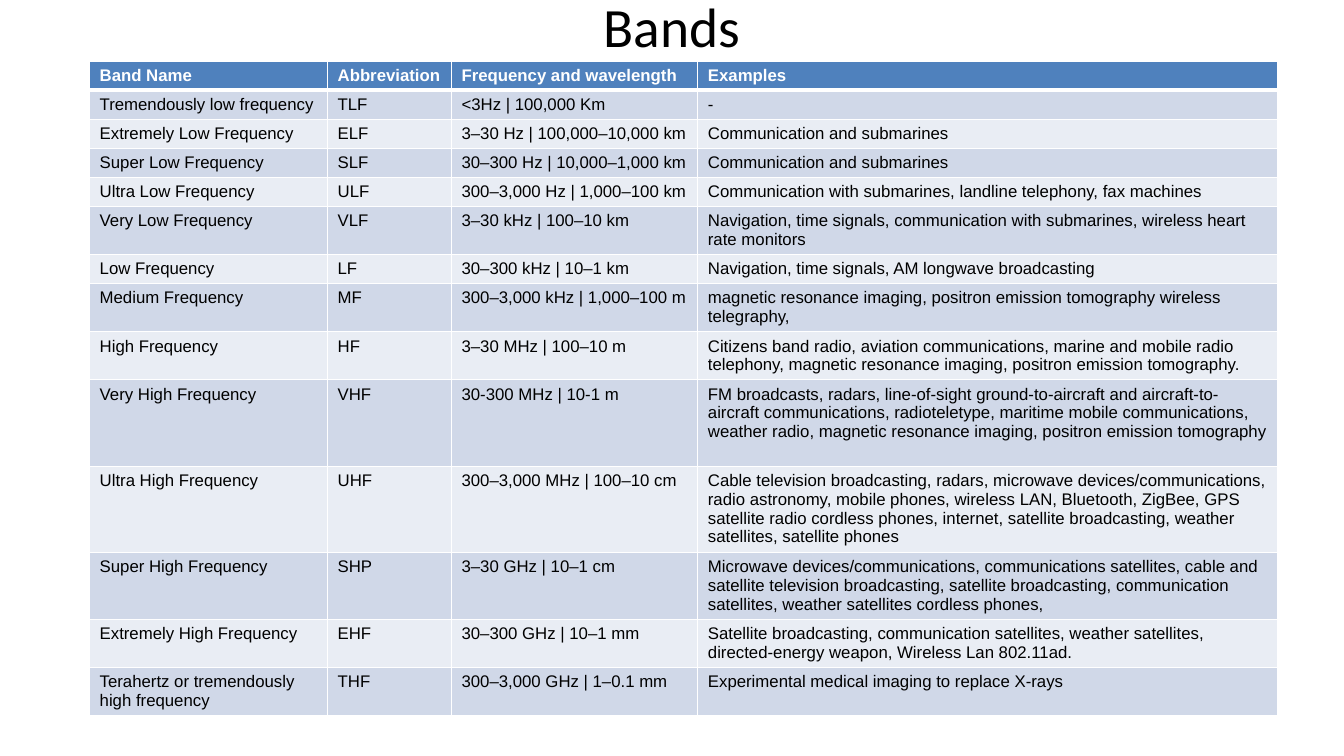
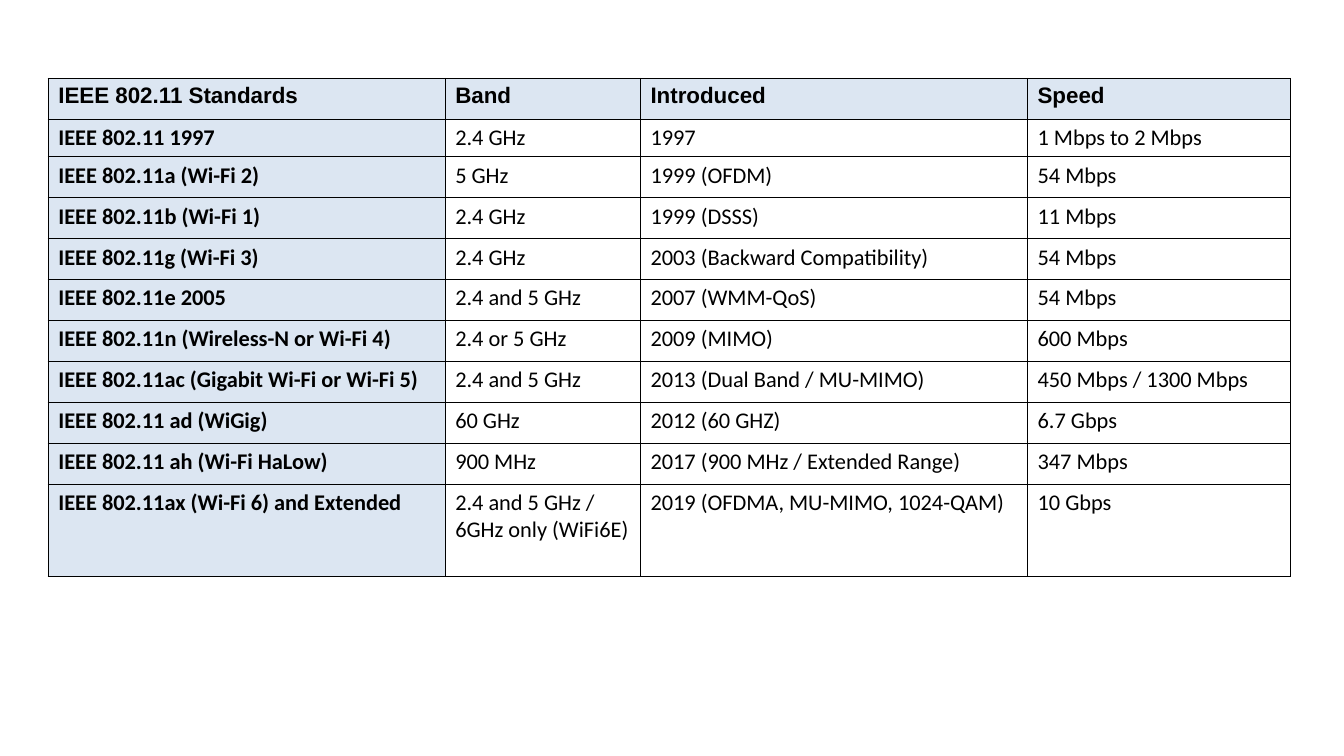
from lxml import etree
from pptx import Presentation
from pptx.dml.color import RGBColor
from pptx.enum.text import MSO_ANCHOR, MSO_AUTO_SIZE, PP_ALIGN
from pptx.oxml.ns import qn
from pptx.util import Pt

MIDDLE = MSO_ANCHOR.MIDDLE
FIXED = MSO_AUTO_SIZE.NONE
CENTER = PP_ALIGN.CENTER
TITLE_ONLY, BLANK = 5, 6

BLACK, WHITE = "000000", "FFFFFF"
BLUE, DARK, LIGHT, PALE = "4F81BD", "D0D8E8", "E9EDF4", "DCE6F2"
SANS, BODY = "Arial", "Calibri"

BAND_COLS = [170, 88.5, 176, 414]
BAND_LINES = [1, 1, 1, 1, 1, 2, 1, 2, 2, 4, 4, 3, 2, 2]
BANDS = [
    ("Band Name", "Abbreviation", "Frequency and wavelength", "Examples"),
    ("Tremendously low frequency", "TLF", "<3Hz | 100,000 Km", "-"),
    ("Extremely Low Frequency", "ELF", "3–30 Hz | 100,000–10,000 km",
     "Communication and submarines"),
    ("Super Low Frequency", "SLF", "30–300 Hz | 10,000–1,000 km",
     "Communication and submarines"),
    ("Ultra Low Frequency", "ULF", "300–3,000 Hz | 1,000–100 km",
     "Communication with submarines, landline telephony, fax machines"),
    ("Very Low Frequency", "VLF", "3–30 kHz | 100–10 km",
     "Navigation, time signals, communication with submarines, "
     "wireless heart rate monitors"),
    ("Low Frequency", "LF", "30–300 kHz | 10–1 km",
     "Navigation, time signals, AM longwave broadcasting"),
    ("Medium Frequency", "MF", "300–3,000 kHz | 1,000–100 m",
     "magnetic resonance imaging, positron emission tomography "
     "wireless telegraphy,"),
    ("High Frequency", "HF", "3–30 MHz | 100–10 m",
     "Citizens band radio, aviation communications, marine and mobile radio "
     "telephony, magnetic resonance imaging, positron emission tomography."),
    ("Very High Frequency", "VHF", "30-300 MHz | 10-1 m",
     "FM broadcasts, radars, line-of-sight ground-to-aircraft and "
     "aircraft-to-aircraft communications, radioteletype, maritime mobile "
     "communications, weather radio, magnetic resonance imaging, "
     "positron emission tomography"),
    ("Ultra High Frequency", "UHF", "300–3,000 MHz | 100–10 cm",
     "Cable television broadcasting, radars, microwave devices/communications, "
     "radio astronomy, mobile phones, wireless LAN, Bluetooth, ZigBee, GPS "
     "satellite radio cordless phones, internet, satellite broadcasting, "
     "weather satellites, satellite phones"),
    ("Super High Frequency", "SHP", "3–30 GHz | 10–1 cm",
     "Microwave devices/communications, communications satellites, cable and "
     "satellite television broadcasting, satellite broadcasting, "
     "communication satellites, weather satellites cordless phones,"),
    ("Extremely High Frequency", "EHF", "30–300 GHz | 10–1 mm",
     "Satellite broadcasting, communication satellites, weather satellites, "
     "directed-energy weapon, Wireless Lan 802.11ad."),
    ("Terahertz or tremendously high frequency", "THF",
     "300–3,000 GHz | 1–0.1 mm",
     "Experimental medical imaging to replace X-rays"),
]

NORM_COLS = [283.5, 139.5, 276.5, 188]
NORM_ROWS = [29.25, 26.75] + [29.25] * 8 + [66]
NORMS = [
    ("IEEE 802.11 Standards", "Band", "Introduced", "Speed"),
    ("IEEE 802.11 1997", "2.4 GHz", "1997", "1 Mbps to 2 Mbps"),
    ("IEEE 802.11a (Wi-Fi 2)", "5 GHz", "1999 (OFDM)", "54 Mbps"),
    ("IEEE 802.11b (Wi-Fi 1)", "2.4 GHz", "1999 (DSSS)", "11 Mbps"),
    ("IEEE 802.11g (Wi-Fi 3)", "2.4 GHz", "2003 (Backward Compatibility)",
     "54 Mbps"),
    ("IEEE 802.11e 2005", "2.4 and 5 GHz", "2007 (WMM-QoS)", "54 Mbps"),
    ("IEEE 802.11n (Wireless-N or Wi-Fi 4)", "2.4 or 5 GHz", "2009 (MIMO)",
     "600 Mbps"),
    ("IEEE 802.11ac (Gigabit Wi-Fi or Wi-Fi 5)", "2.4 and 5 GHz",
     "2013 (Dual Band / MU-MIMO)", "450 Mbps / 1300 Mbps"),
    ("IEEE 802.11 ad (WiGig)", "60 GHz", "2012 (60 GHZ)", "6.7 Gbps"),
    ("IEEE 802.11 ah (Wi-Fi HaLow)", "900 MHz",
     "2017 (900 MHz / Extended Range)", "347 Mbps"),
    ("IEEE 802.11ax (Wi-Fi 6) and Extended",
     "2.4 and 5 GHz / 6GHz only (WiFi6E)",
     "2019 (OFDMA, MU-MIMO, 1024-QAM)", "10 Gbps"),
]


def rgb(code):
    return RGBColor.from_string(code)


def add_run(para, text, font, size, color, bold=False):
    run = para.add_run()
    run.text = text
    run.font.name = font
    run.font.size = Pt(size)
    run.font.bold = bold
    run.font.color.rgb = rgb(color)


def add_title(slide, text):
    title = slide.shapes.title
    title.left, title.top = Pt(48), Pt(0.75)
    title.width, title.height = Pt(864), Pt(35.25)
    frame = title.text_frame
    frame.auto_size = FIXED
    frame.vertical_anchor = MIDDLE
    para = frame.paragraphs[0]
    para.alignment = CENTER
    add_run(para, text, BODY, 39.6, BLACK)


def set_edges(cell, color, widths):
    """Draw the cell's borders; must come before its fill."""
    props = cell._tc.get_or_add_tcPr()
    for side, width in widths.items():
        line = etree.SubElement(props, qn(f"a:ln{side}"), w=str(Pt(width)))
        fill = etree.SubElement(line, qn("a:solidFill"))
        etree.SubElement(fill, qn("a:srgbClr"), val=color)


def add_grid(slide, left, top, cols, heights, rows, style):
    """Add a table; style(cell, row, col) paints a cell and returns run settings."""
    frame = slide.shapes.add_table(
        len(rows), len(cols), Pt(left), Pt(top), Pt(sum(cols)), Pt(sum(heights)))
    table = frame.table
    table.first_row = table.horz_banding = False
    for col, width in zip(table.columns, cols):
        col.width = Pt(width)
    for r, (row, height) in enumerate(zip(rows, heights)):
        table.rows[r].height = Pt(height)
        for c, text in enumerate(row):
            cell = table.cell(r, c)
            add_run(cell.text_frame.paragraphs[0], text, *style(cell, r, c))


def band_style(cell, row, col):
    head = row == 0
    set_edges(cell, WHITE, {"L": 1, "R": 1, "T": 3 if row == 1 else 1,
                            "B": 3 if head else 1})
    cell.fill.solid()
    cell.fill.fore_color.rgb = rgb(BLUE if head else DARK if row % 2 else LIGHT)
    return SANS, 12, WHITE if head else BLACK, head


def norm_style(cell, row, col):
    head = row == 0
    label = head or col == 0
    set_edges(cell, BLACK, dict.fromkeys("LRTB", 1))
    if label:
        cell.fill.solid()
        cell.fill.fore_color.rgb = rgb(PALE)
    else:
        cell.fill.background()
    return SANS if head else BODY, 16, BLACK, label


def main():
    deck = Presentation()
    deck.slide_width, deck.slide_height = Pt(960), Pt(540)

    slide = deck.slides.add_slide(deck.slide_layouts[TITLE_ONLY])
    add_title(slide, "Bands")
    heights = [7.2 + 13.6 * lines for lines in BAND_LINES]
    add_grid(slide, 64, 43.5, BAND_COLS, heights, BANDS, band_style)

    slide = deck.slides.add_slide(deck.slide_layouts[BLANK])
    add_grid(slide, 34.5, 56, NORM_COLS, NORM_ROWS, NORMS, norm_style)

    deck.save("out.pptx")


if __name__ == "__main__":
    main()
